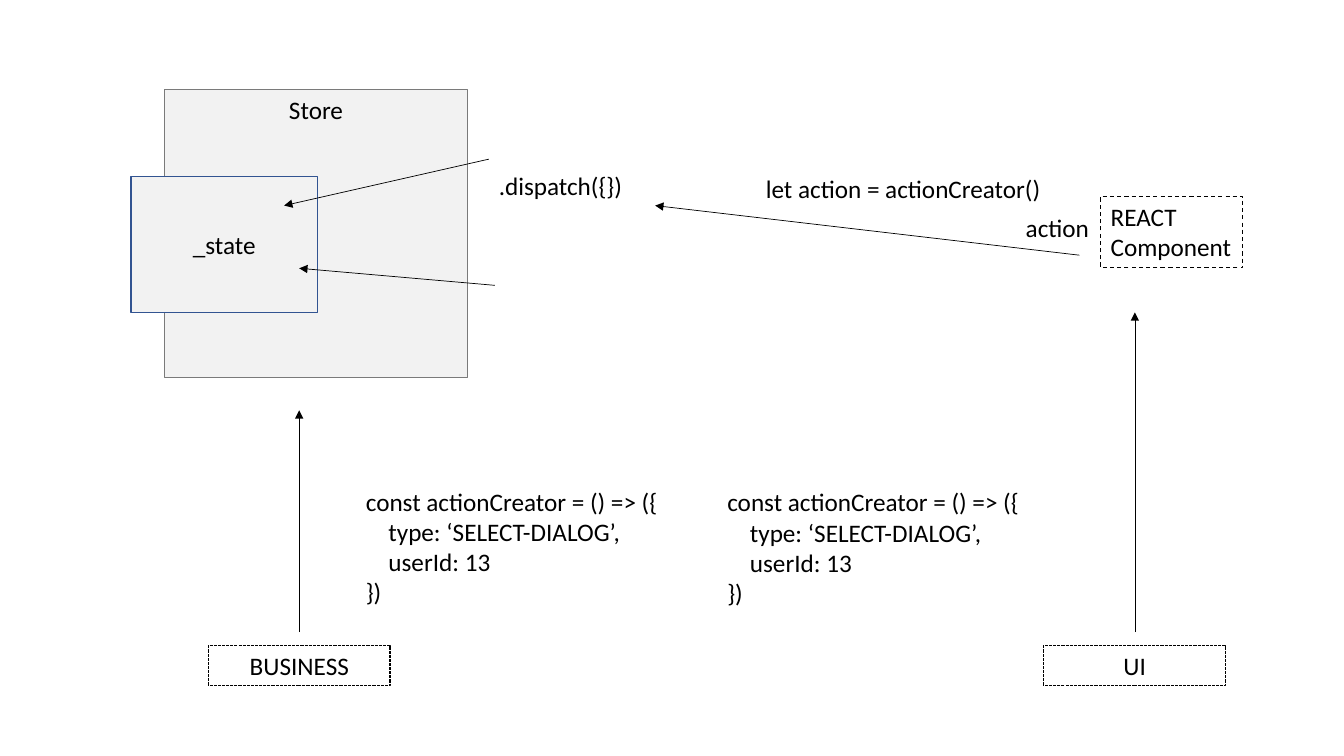
"""Build the slide on a store, its state and the actions sent from the UI."""
from lxml import etree
from pptx import Presentation
from pptx.dml.color import RGBColor
from pptx.enum.dml import MSO_LINE
from pptx.enum.shapes import MSO_CONNECTOR, MSO_SHAPE
from pptx.enum.text import MSO_ANCHOR, MSO_AUTO_SIZE, PP_ALIGN
from pptx.oxml.ns import qn
from pptx.util import Cm, Pt

TOP, MIDDLE = MSO_ANCHOR.TOP, MSO_ANCHOR.MIDDLE
LEFT, CENTER = PP_ALIGN.LEFT, PP_ALIGN.CENTER
DASH, SHORT_DASH = MSO_LINE.DASH, MSO_LINE.SQUARE_DOT
RECTANGLE, STRAIGHT = MSO_SHAPE.RECTANGLE, MSO_CONNECTOR.STRAIGHT
FIT_SHAPE = MSO_AUTO_SIZE.SHAPE_TO_FIT_TEXT

COLORS = {"ink": "000000", "panel": "F2F2F2", "store": "7A7A7A", "state": "325491"}
LABEL_HEIGHT = 1.02
CODE_INDENT = Cm(0.57)


def write(frame, lines, align=LEFT, anchor=TOP, wrap=False):
    """Write (text, indent) lines, one paragraph each."""
    frame.word_wrap = wrap
    frame.vertical_anchor = anchor
    for number, (text, indent) in enumerate(lines):
        paragraph = frame.paragraphs[0] if number == 0 else frame.add_paragraph()
        paragraph.alignment = align
        if indent:
            paragraph._p.get_or_add_pPr().set("marL", str(indent))
        run = paragraph.add_run()
        run.text = text
        run.font.name = "Calibri"
        run.font.size = Pt(18)
        run.font.color.rgb = RGBColor.from_string(COLORS["ink"])


presentation = Presentation()
presentation.slide_width = Cm(33.87)
presentation.slide_height = Cm(19.05)
slide = presentation.slides.add_slide(presentation.slide_layouts[6])

boxes = [
    (["Store"], (4.14, 2.26, 7.65, 7.26), "panel", "store", 1, None, CENTER, TOP),
    (["_state"], (3.3, 4.45, 4.7, 3.43), "panel", "state", 1, None, CENTER, MIDDLE),
    (["REACT", "Component"], (27.74, 4.95, 3.58, 1.8), None, "ink", 0.75, DASH, LEFT, TOP),
    (["BUSINESS"], (5.26, 16.26, 4.57, LABEL_HEIGHT), None, "ink", 0.75, SHORT_DASH, CENTER, MIDDLE),
    (["UI"], (26.31, 16.26, 4.57, LABEL_HEIGHT), None, "ink", 0.75, SHORT_DASH, CENTER, MIDDLE),
]
for lines, place, fill, outline, weight, dash, align, anchor in boxes:
    box = slide.shapes.add_shape(RECTANGLE, *map(Cm, place))
    box.shadow.inherit = False
    if fill:
        box.fill.solid()
        box.fill.fore_color.rgb = RGBColor.from_string(COLORS[fill])
    else:
        box.fill.background()
    box.line.color.rgb = RGBColor.from_string(COLORS[outline])
    box.line.width = Pt(weight)
    if dash:
        box.line.dash_style = dash
    write(box.text_frame, [(line, 0) for line in lines], align, anchor, wrap=align == CENTER)

action_creator = [
    ("const actionCreator = () => ({", 0),
    ("type: ‘SELECT-DIALOG’,", CODE_INDENT),
    ("userId: 13", CODE_INDENT),
    ("})", 0),
]
labels = [
    ([(".dispatch({})", 0)], (12.32, 4.17, 3.66, LABEL_HEIGHT)),
    ([("let action = actionCreator()", 0)], (19.05, 4.24, 7.52, LABEL_HEIGHT)),
    ([("action", 0)], (25.6, 5.23, 2.13, LABEL_HEIGHT)),
    (action_creator, (8.97, 12.12, 7.95, 3.33)),
    (action_creator, (18.08, 12.14, 7.95, 3.33)),
]
for lines, place in labels:
    label = slide.shapes.add_textbox(*map(Cm, place))
    write(label.text_frame, lines)
    label.text_frame.auto_size = FIT_SHAPE

arrows = [
    (27.2, 6.43, 16.51, 5.18),
    (12.32, 4.01, 7.16, 5.18),
    (12.47, 7.19, 7.54, 6.76),
    (7.54, 15.93, 7.54, 10.34),
    (28.6, 15.93, 28.6, 7.87),
]
for ends in arrows:
    arrow = slide.shapes.add_connector(STRAIGHT, *map(Cm, ends))
    arrow.line.color.rgb = RGBColor.from_string(COLORS["ink"])
    arrow.line.width = Pt(0.5)
    etree.SubElement(arrow.line._get_or_add_ln(), qn("a:tailEnd"), type="triangle")
    etree.SubElement(arrow._element.spPr, qn("a:effectLst"))

presentation.save("out.pptx")
